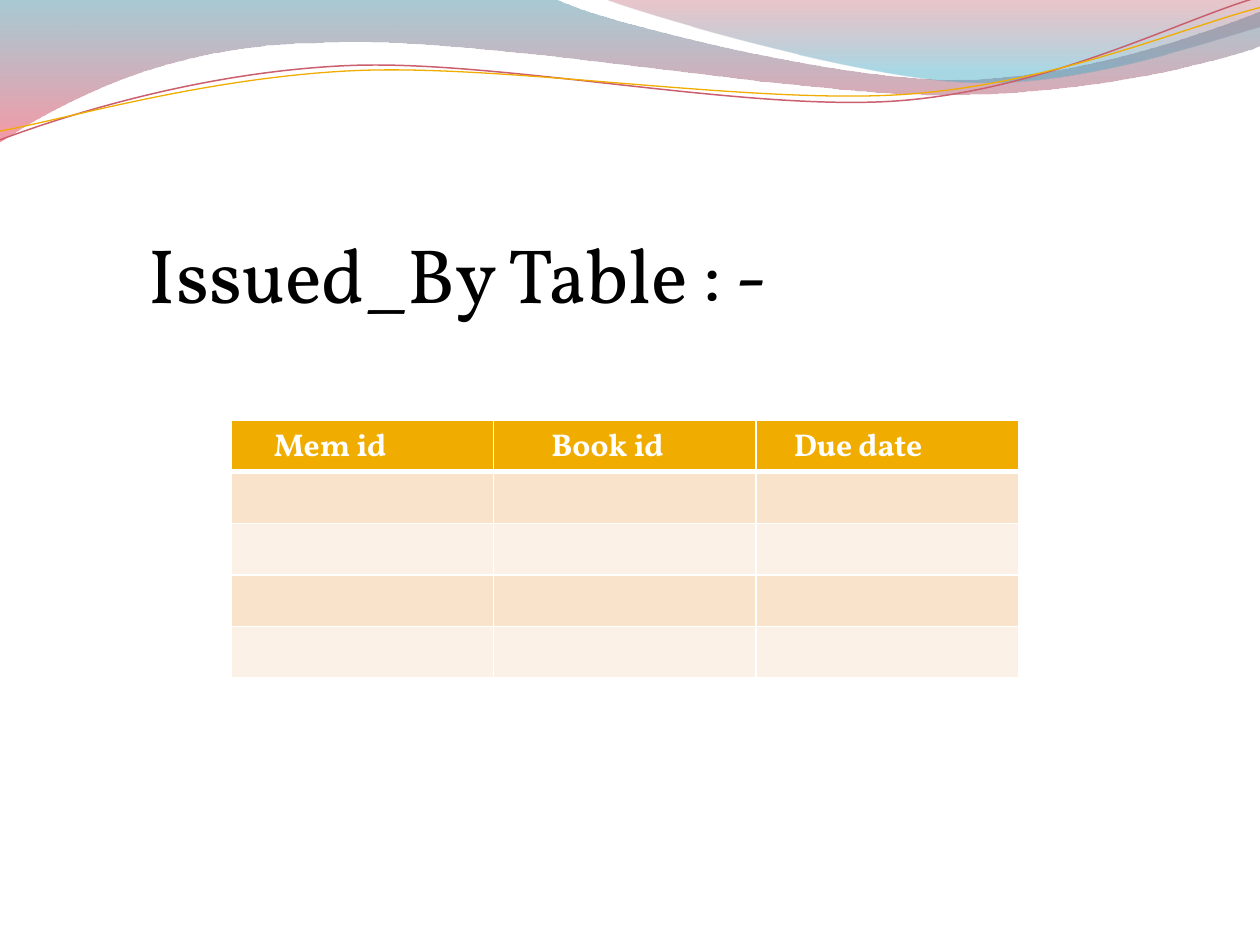
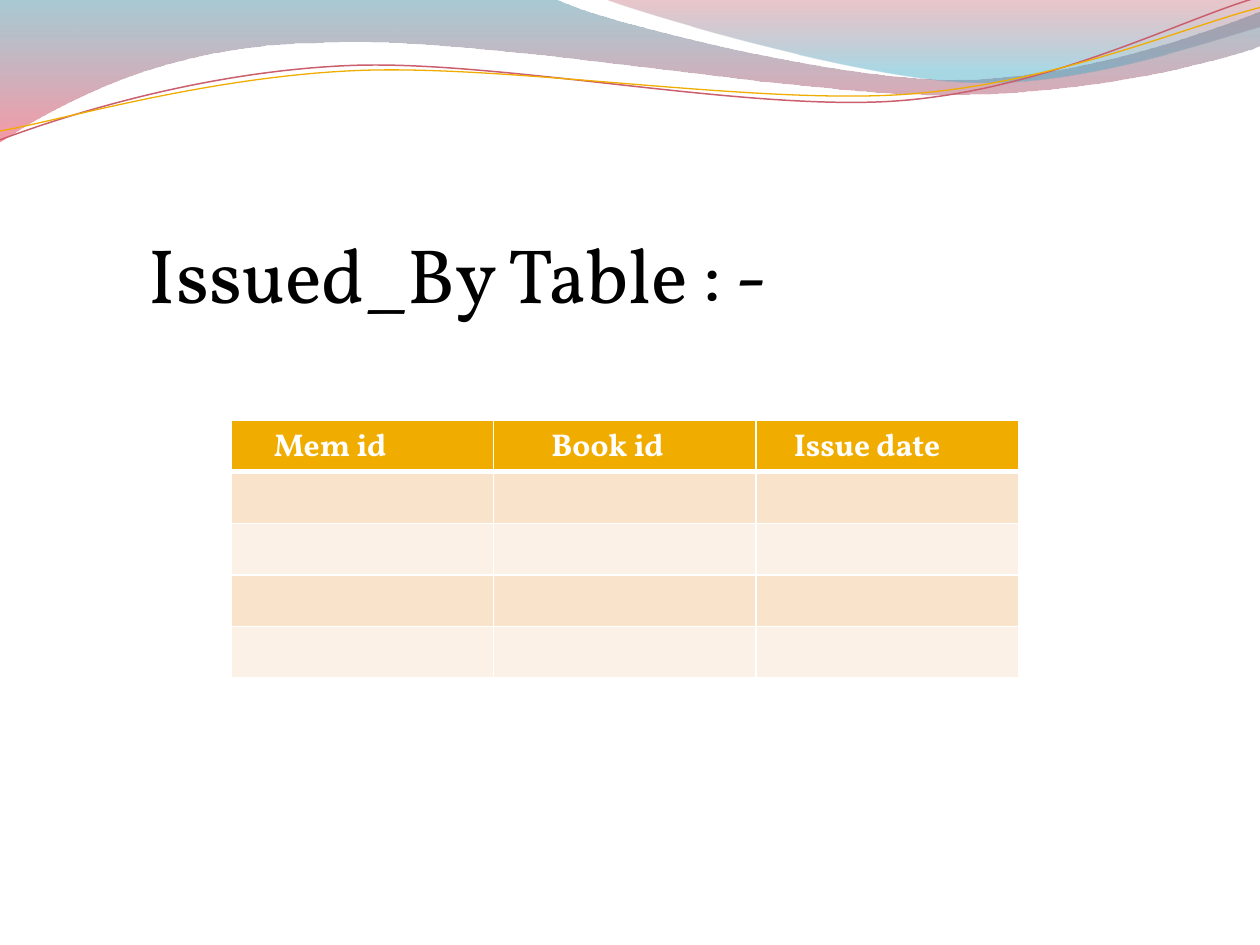
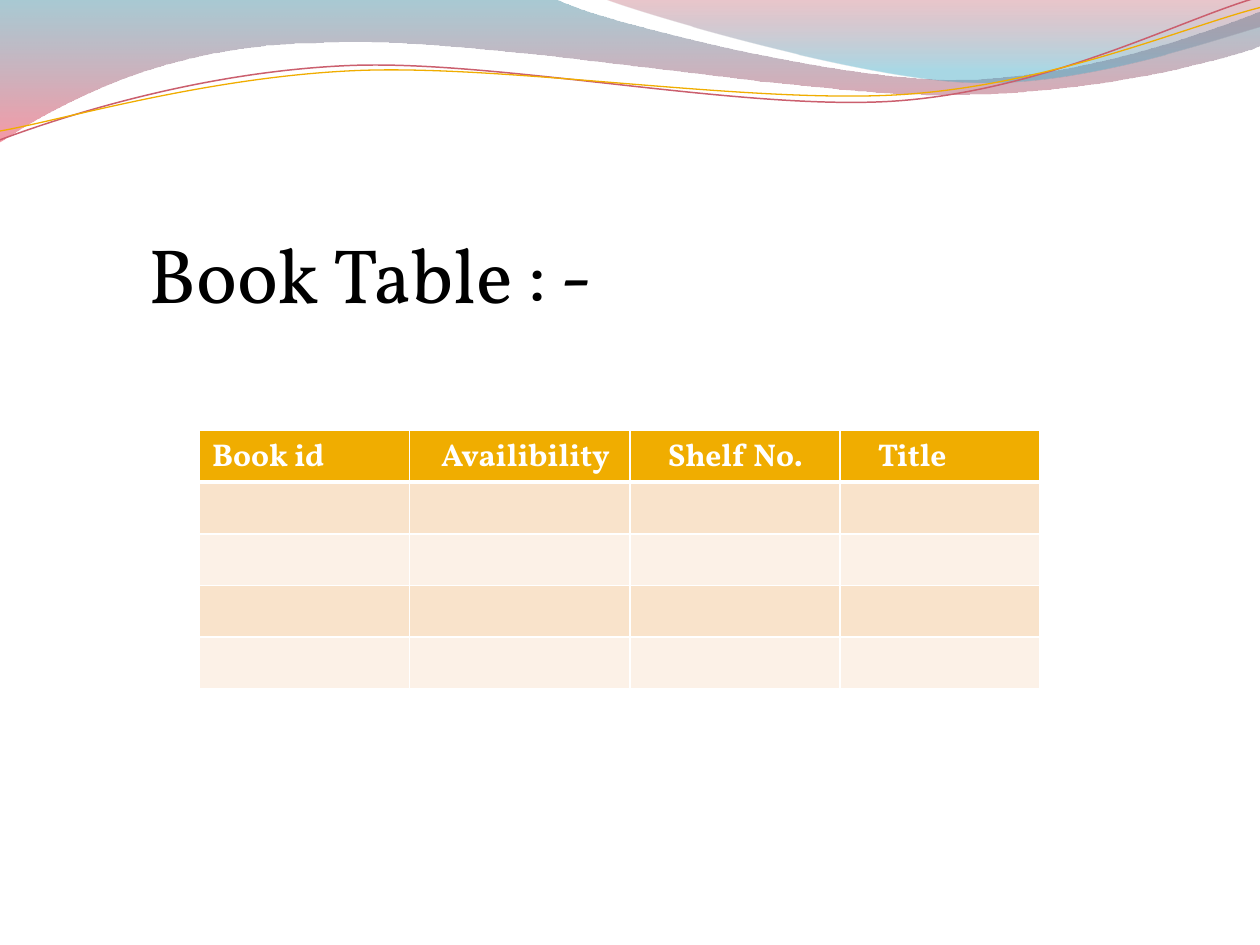
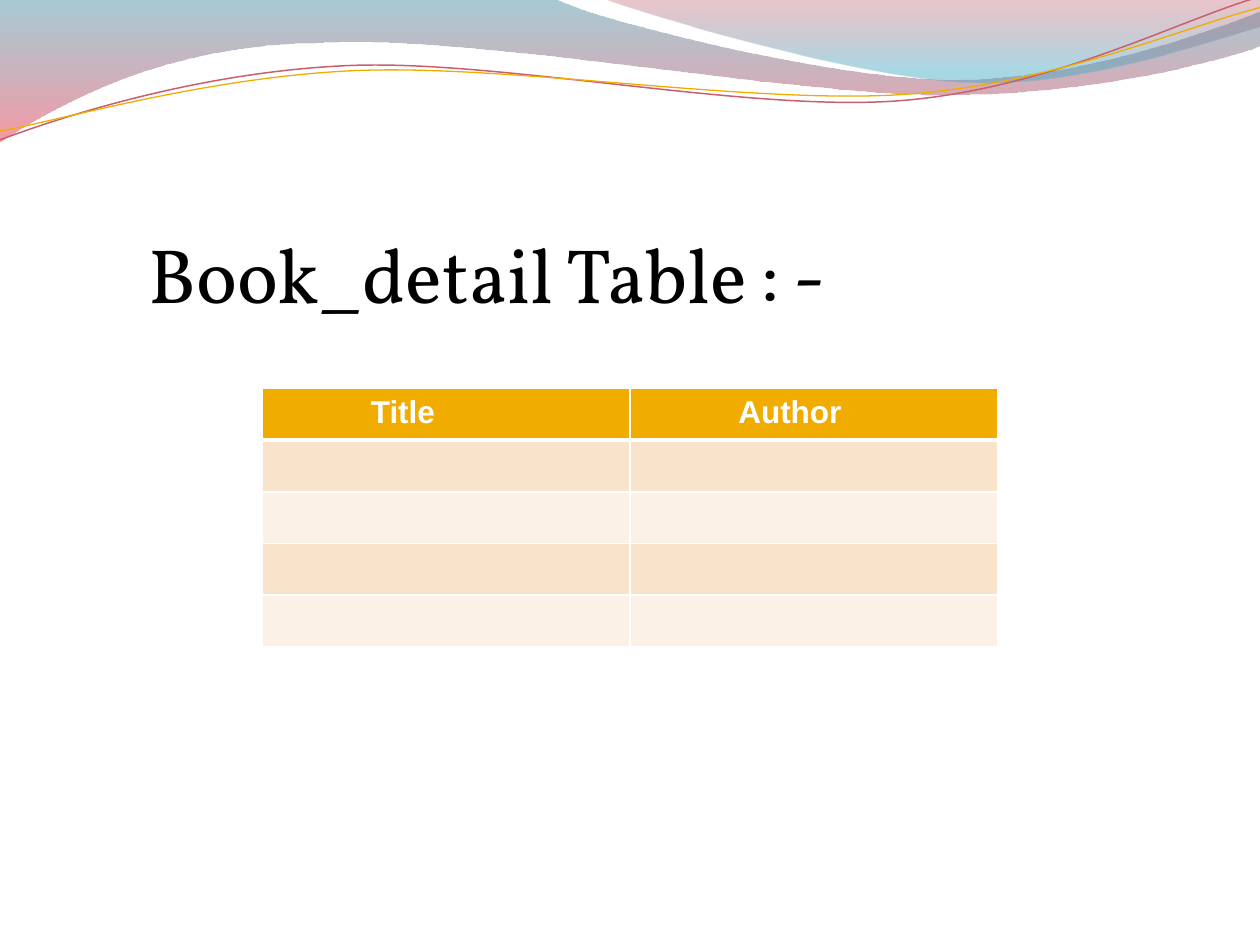
from math import cos, radians, sin

from lxml.etree import SubElement
from pptx import Presentation
from pptx.dml.color import RGBColor
from pptx.enum.text import MSO_AUTO_SIZE
from pptx.oxml.ns import qn
from pptx.util import Inches, Pt

# Content: title, table left and top, column widths (in grid units), header
# cells with their left margin in inches, header font
ISSUED = "Issued_By Table : -"
SERIF, SANS = "Vollkorn", "Arial"
TABLES = [
    (ISSUED, 22, 40, [25, 25, 25],
     [("Mem id", 0.34), ("Book id", 0.46), ("Due date", 0.3)], SERIF),
    (ISSUED, 22, 40, [25, 25, 25],
     [("Mem id", 0.34), ("Book id", 0.46), ("Issue date", 0.3)], SERIF),
    ("Book Table : -", 19, 41, [20, 21, 20, 19],
     [("Book id", 0.1), ("Availibility", 0.25), ("Shelf No.", 0.3),
      ("Title", 0.3)], SERIF),
    ("Book_detail Table : -", 25, 37, [35, 35],
     [("Title", 0.86), ("Author", 0.86)], SANS),
]

# Shared style
UNIT = Inches(1) / 12
TITLE = (13, 21, 85, 10)
ROWS, ROW = 5, Inches(0.41)
GOLD, WHITE, BLACK = "F0AD00", "FFFFFF", "000000"
STRIPES = ["FCF1E7", "F9E3CB"]

# Waves: segment kinds (L line, C curve), points, gradient stops
# (place %, colour, opacity %)
WAVES = [
    ("LCCLCCCL",
     [(0, -0.01), (4.4, -0.01), (4.76, 0.17), (6.64, 0.63), (7.58, 0.63),
      (8.53, 0.63), (9.58, 0.26), (10, 0.09), (10.01, 0.36), (9.83, 0.44),
      (8.7, 0.76), (7.46, 0.75), (6.22, 0.75), (3.82, 0.28), (2.57, 0.34),
      (1.29, 0.35), (0.46, 0.83), (-0.01, 1.13), (0, -0.01)],
     [(0, "3F8A9F", 45), (100, "EF445B", 55)]),
    ("CCLLL",
     [(4.79, -0.01), (5.09, 0.11), (6.82, 0.62), (7.69, 0.65), (8.56, 0.69),
      (9.61, 0.32), (10, 0.21), (10, 0), (4.79, -0.01), (4.79, -0.01)],
     [(0, "B84253", 30), (80, "42ABC7", 45)]),
]

# Swooshes: points as seen on the slide, colour, width
TILT, PIVOT = -2.7, (4.99, 0.58)
SWOOSHES = [
    ([(0, 1.11), (0.48, 0.93), (1.58, 0.57), (2.77, 0.52), (3.95, 0.47),
      (5.93, 0.89), (7.13, 0.8), (8.33, 0.71), (9.38, 0.15), (9.98, -0.02)],
     "CB5F6E", 0.85),
    ([(0, 1.04), (0.47, 0.96), (1.64, 0.61), (2.83, 0.56), (4.03, 0.51),
      (5.97, 0.83), (7.17, 0.75), (8.36, 0.67), (9.41, 0.21), (10, 0.06)],
     GOLD, 0.75),
]


def rgb(code):
    return RGBColor.from_string(code)


def style(para, font, size, color, bold=False):
    para.font.name, para.font.size = font, Pt(size)
    para.font.color.rgb, para.font.bold = rgb(color), bold


def trace(slide, kinds, points, close):
    """Build an outline, then turn each C into one cubic curve."""
    dots = [(Inches(x), Inches(y)) for x, y in points]
    pen = slide.shapes.build_freeform(*dots[0])
    pen.add_line_segments(dots[1:], close=close)
    shape = pen.convert_to_shape()
    shape.shadow.inherit = False
    steps = iter(list(shape.element.iter(qn("a:lnTo"))))
    for kind in kinds:
        first = next(steps)
        if kind == "C":
            first.tag = qn("a:cubicBezTo")
            for _ in range(2):
                step = next(steps)
                first.append(step[0])
                step.getparent().remove(step)
    return shape


def shade(shape, stops):
    shape.fill.gradient()
    shape.fill.gradient_angle = 270
    grad = shape.element.spPr.find(qn("a:gradFill"))
    holder = grad.find(qn("a:gsLst"))
    for old in list(holder):
        holder.remove(old)
    for place, color, alpha in stops:
        stop = SubElement(holder, qn("a:gs"), pos=str(place * 1000))
        tint = SubElement(stop, qn("a:srgbClr"), val=color)
        SubElement(tint, qn("a:alpha"), val=str(alpha * 1000))
    shape.line.fill.background()


def level(points):
    """Undo the tilt, so that the shape's rotation restores it."""
    turn, (px, py) = radians(-TILT), PIVOT
    return [(px + (x - px) * cos(turn) - (y - py) * sin(turn),
             py + (x - px) * sin(turn) + (y - py) * cos(turn))
            for x, y in points]


def add_band(slide, layout):
    """Draw the top band once and hand it to the shared layout."""
    band = []
    for kinds, points, stops in WAVES:
        wave = trace(slide, kinds, points, True)
        shade(wave, stops)
        band.append(wave)
    for points, color, width in SWOOSHES:
        swoosh = trace(slide, "CCC", level(points), False)
        swoosh.fill.background()
        swoosh.line.color.rgb, swoosh.line.width = rgb(color), Pt(width)
        swoosh.rotation = TILT
        band.append(swoosh)
    for shape in band:
        layout.shapes.element.append(shape.element)


def add_title(slide, text):
    box = slide.shapes.add_textbox(*(round(n * UNIT) for n in TITLE))
    frame = box.text_frame
    frame.word_wrap, frame.auto_size = True, MSO_AUTO_SIZE.SHAPE_TO_FIT_TEXT
    frame.text = text
    style(frame.paragraphs[0], SERIF, 44, BLACK)


def edge(cell, row):
    props = cell._tc.get_or_add_tcPr()
    thick = {(0, "B"), (1, "T")}
    for side in "LRTB":
        width = Pt(3 if (row, side) in thick else 1)
        line = SubElement(props, qn("a:ln" + side), w=str(width))
        fill = SubElement(line, qn("a:solidFill"))
        SubElement(fill, qn("a:srgbClr"), val=WHITE)


def add_grid(slide, left, top, cols, heads, font):
    grid = slide.shapes.add_table(
        ROWS, len(cols), round(left * UNIT), round(top * UNIT),
        round(sum(cols) * UNIT), ROW * ROWS).table
    grid.first_row = grid.horz_banding = False
    for col, width in zip(grid.columns, cols):
        col.width = round(width * UNIT)
    for r in range(ROWS):
        for c, (text, margin) in enumerate(heads):
            cell = grid.cell(r, c)
            edge(cell, r)
            cell.fill.solid()
            cell.fill.fore_color.rgb = rgb(STRIPES[r % 2] if r else GOLD)
            if r == 0:
                cell.text, cell.margin_left = text, Inches(margin)
                style(cell.text_frame.paragraphs[0], font, 18, WHITE, True)


def main():
    deck = Presentation()
    deck.slide_width, deck.slide_height = Inches(10), Inches(7.5)
    blank = deck.slide_layouts[6]
    for title, *grid in TABLES:
        slide = deck.slides.add_slide(blank)
        if len(deck.slides) == 1:
            add_band(slide, blank)
        add_title(slide, title)
        add_grid(slide, *grid)
    deck.save("out.pptx")


if __name__ == "__main__":
    main()
